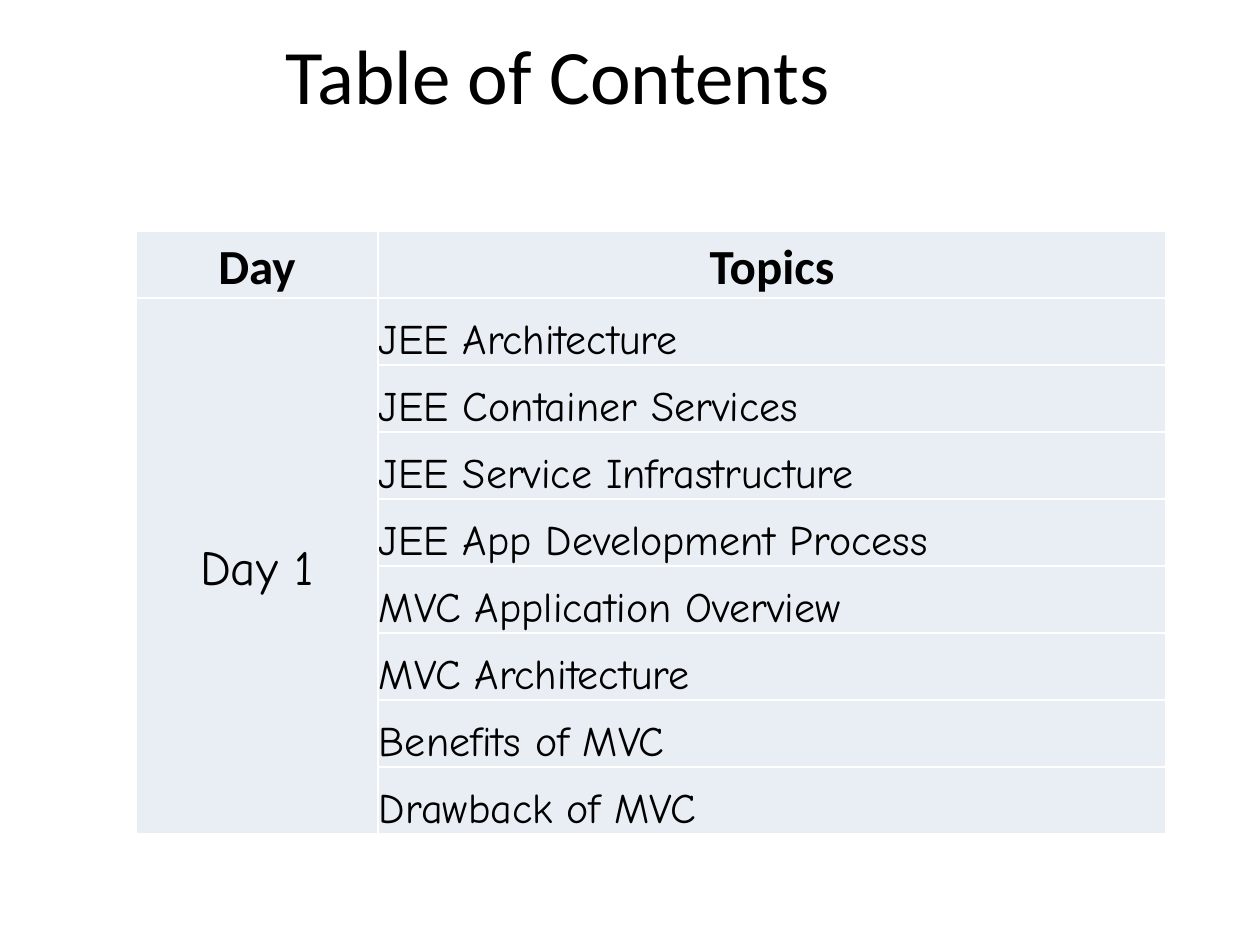
import pptx
import pptx.util
import pptx.dml.color
import pptx.enum.text
import pptx.oxml.ns
import lxml.etree

PX = 914400 / 126
COLORS = {"text": "000000", "cell": "E9EDF4", "border": "FFFFFF"}
ALIGN = pptx.enum.text.PP_ALIGN
ANCHOR = pptx.enum.text.MSO_ANCHOR
qn = pptx.oxml.ns.qn


def px(n):
    return pptx.util.Emu(round(n * PX))


def add_run(p, text, size, font, bold=False):
    r = p.add_run()
    r.text = text
    r.font.size = pptx.util.Pt(size)
    r.font.name = font
    r.font.bold = bold
    r.font.color.rgb = pptx.dml.color.RGBColor.from_string(COLORS["text"])


prs = pptx.Presentation()
prs.slide_width, prs.slide_height = px(1260), px(945)
s = prs.slides.add_slide(prs.slide_layouts[5])

# Title
title = s.shapes.title
title.left, title.top, title.width, title.height = px(24), px(21), px(1068), px(105)
tf = title.text_frame
tf.vertical_anchor = ANCHOR.MIDDLE
p = tf.paragraphs[0]
p.alignment = ALIGN.CENTER
add_run(p, "Table of Contents", 44, "Calibri")

# Table grid
topics = [
    "JEE Architecture",
    "JEE Container Services",
    "JEE Service Infrastructure",
    "JEE App Development Process",
    "MVC Application Overview",
    "MVC Architecture",
    "Benefits of MVC",
    "Drawback of MVC",
]
col_widths = [242, 788]
row_height = 67
n_rows = len(topics) + 1
table = s.shapes.add_table(n_rows, 2, px(136), px(231),
                           px(sum(col_widths)), px(row_height * n_rows)).table
for col, width in zip(table.columns, col_widths):
    col.width = px(width)
for row in table.rows:
    row.height = px(row_height)
table.cell(1, 0).merge(table.cell(n_rows - 1, 0))

# Cell fill, margins and borders
for cell in table.iter_cells():
    cell.margin_left = cell.margin_right = cell.margin_top = px(1)
    cell.margin_bottom = 0
    cell.fill.solid()
    cell.fill.fore_color.rgb = pptx.dml.color.RGBColor.from_string(COLORS["cell"])
    tcPr = cell._tc.get_or_add_tcPr()
    for i, side in enumerate(["lnL", "lnR", "lnT", "lnB"]):
        ln = lxml.etree.Element(qn("a:" + side), w=str(pptx.util.Pt(1)))
        fill = lxml.etree.SubElement(ln, qn("a:solidFill"))
        lxml.etree.SubElement(fill, qn("a:srgbClr"), val=COLORS["border"])
        tcPr.insert(i, ln)

# Cell text: row, column, text, size, font, bold, alignment, anchor
entries = [
    (0, 0, "Day", 28, "Calibri", True, ALIGN.CENTER, ANCHOR.MIDDLE),
    (0, 1, "Topics", 28, "Calibri", True, ALIGN.CENTER, ANCHOR.BOTTOM),
    (1, 0, "Day 1", 28, "Comic Neue", False, ALIGN.CENTER, ANCHOR.MIDDLE),
]
for i, topic in enumerate(topics, 1):
    entries.append((i, 1, topic, 24, "Comic Neue", False, ALIGN.LEFT, ANCHOR.BOTTOM))

for row, col, text, size, font, bold, align, anchor in entries:
    cell = table.cell(row, col)
    cell.vertical_anchor = anchor
    p = cell.text_frame.paragraphs[0]
    p.alignment = align
    p.line_spacing = 1.1
    before = lxml.etree.SubElement(p._p.get_or_add_pPr(), qn("a:spcBef"))
    lxml.etree.SubElement(before, qn("a:spcPct"), val="50000")
    add_run(p, text, size, font, bold)

prs.save("out.pptx")
